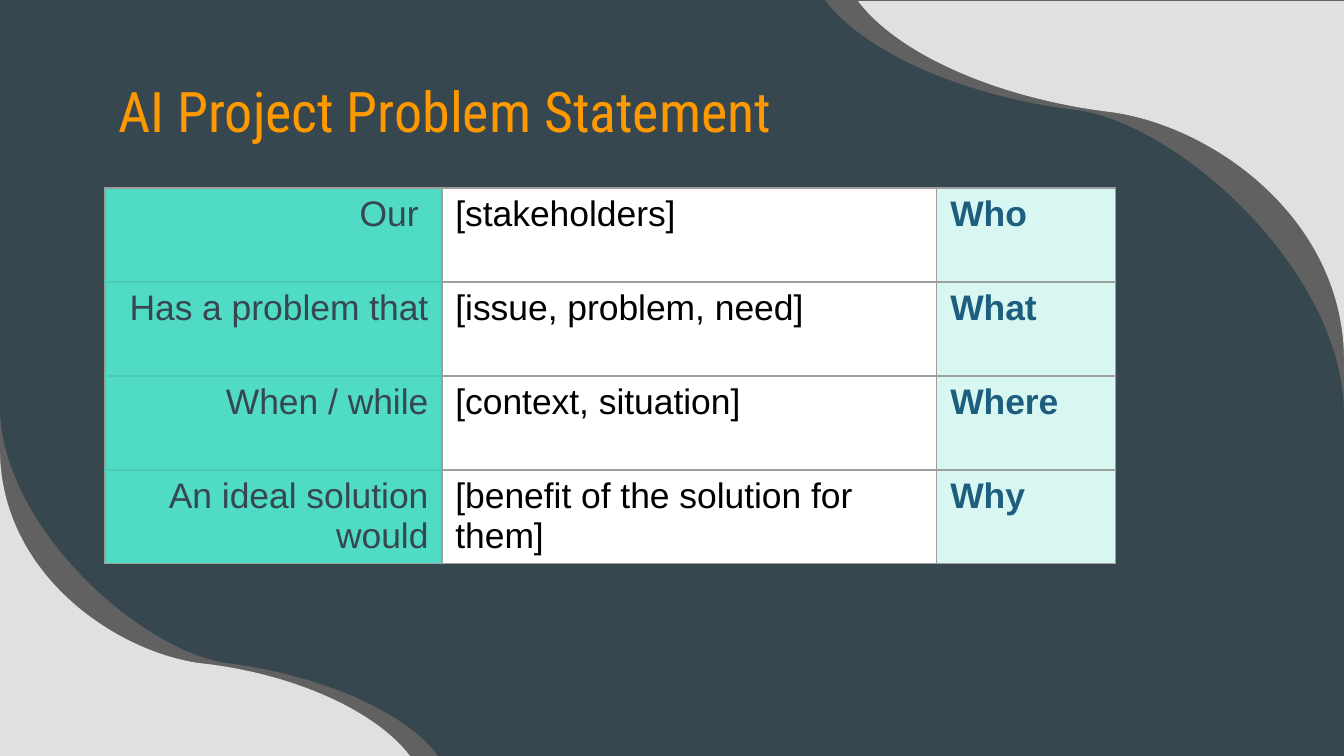
"""Build the AI project problem statement slide."""
from lxml import etree
from pptx import Presentation
from pptx.dml.color import RGBColor
from pptx.enum.text import MSO_ANCHOR, MSO_AUTO_SIZE, PP_ALIGN
from pptx.oxml.ns import qn
from pptx.util import Pt

LEFT, RIGHT = PP_ALIGN.LEFT, PP_ALIGN.RIGHT
TOP, NO_FIT = MSO_ANCHOR.TOP, MSO_AUTO_SIZE.NONE
EMU_PER_PX = 9144000 / 1344
WIDTH, HEIGHT = 1344, 756


def px(length):
    return round(length * EMU_PER_PX)


def rgb(value):
    return RGBColor.from_string(value)


prs = Presentation()
prs.slide_width, prs.slide_height = px(WIDTH), px(HEIGHT)
slide = prs.slides.add_slide(prs.slide_layouts[5])
slide.background.fill.solid()
slide.background.fill.fore_color.rgb = rgb("37474F")

DARK, LIGHT = "616161", "E0E0E0"
waves = [
    (DARK, (WIDTH, 0), [(825, 0), (864, 52), (965, 97), (1077, 110),
                        (1179, 124), (1341, 270), (1344, 410)]),
    (LIGHT, (WIDTH, 1), [(858, 1), (898, 54), (997, 98), (1110, 112),
                         (1211, 125), (1341, 216), (1344, 356)]),
    (DARK, (0, HEIGHT), [(438, 756), (405, 711), (320, 675), (226, 663),
                         (140, 650), (3, 528), (0, 410)]),
    (LIGHT, (0, HEIGHT), [(410, 756), (376, 711), (293, 673), (198, 663),
                          (112, 650), (3, 573), (0, 454)]),
]
for color, corner, controls in waves:
    builder = slide.shapes.build_freeform(*corner, scale=EMU_PER_PX)
    builder.add_line_segments(controls, close=True)
    wave = builder.convert_to_shape()
    segments = list(wave._element.iter(qn("a:lnTo")))[1:7]
    for first in (0, 3):
        curve = etree.Element(qn("a:cubicBezTo"))
        segments[first].addprevious(curve)
        for segment in segments[first:first + 3]:
            curve.append(segment[0])
            segment.getparent().remove(segment)
    wave.shadow.inherit = False
    wave.fill.solid()
    wave.fill.fore_color.rgb = rgb(color)
    wave.line.fill.background()

title = slide.shapes.title
slide.shapes._spTree.append(title._element)
title.left, title.top, title.width, title.height = px(105), px(63), px(1134), px(69)
heading = title.text_frame
heading.text = "AI Project Problem Statement"
heading.word_wrap = True
heading.auto_size = NO_FIT
heading.vertical_anchor = TOP
heading.margin_top = heading.margin_bottom = px(13)
heading_line = heading.paragraphs[0]
heading_line.alignment = LEFT
heading_line.font.name = "Roboto Condensed"
heading_line.font.size = Pt(30)
heading_line.font.color.rgb = rgb("FF9900")

statement = [
    ("Our ", "[stakeholders]", "Who"),
    ("Has a problem that", "[issue, problem, need]", "What"),
    ("When / while", "[context, situation]", "Where"),
    ("An ideal solution would", "[benefit of the solution for them]", "Why"),
]
columns = [
    (337, "4FDBC4", "37474F", RIGHT, False),
    (495, "FFFFFF", "000000", LEFT, False),
    (179, "D9F7F2", "1D5D7D", LEFT, True),
]
ROW_HEIGHT = 94
table = slide.shapes.add_table(
    len(statement), len(columns), px(105), px(188),
    px(sum(column[0] for column in columns)), px(ROW_HEIGHT * len(statement))).table
table.first_row = table.horz_banding = False
for column, (width, *_) in zip(table.columns, columns):
    column.width = px(width)

for r, phrases in enumerate(statement):
    table.rows[r].height = px(ROW_HEIGHT)
    for c, (phrase, (_, fill, ink, align, bold)) in enumerate(zip(phrases, columns)):
        cell = table.cell(r, c)
        cell.text = phrase
        properties = cell._tc.get_or_add_tcPr()
        for side in ("lnL", "lnR", "lnT", "lnB"):
            inner = (side == "lnT" and r > 0) or (side == "lnB" and r < len(statement) - 1)
            border = etree.SubElement(properties, qn("a:" + side), w=str(Pt(0.75)))
            paint = etree.SubElement(border, qn("a:solidFill"))
            etree.SubElement(paint, qn("a:srgbClr"),
                             val="4BCAB5" if c == 0 and inner else "9E9E9E")
        cell.fill.solid()
        cell.fill.fore_color.rgb = rgb(fill)
        line = cell.text_frame.paragraphs[0]
        line.alignment = align
        line.font.name = "Arial"
        line.font.size = Pt(19)
        line.font.bold = bold
        line.font.color.rgb = rgb(ink)

prs.save("out.pptx")
